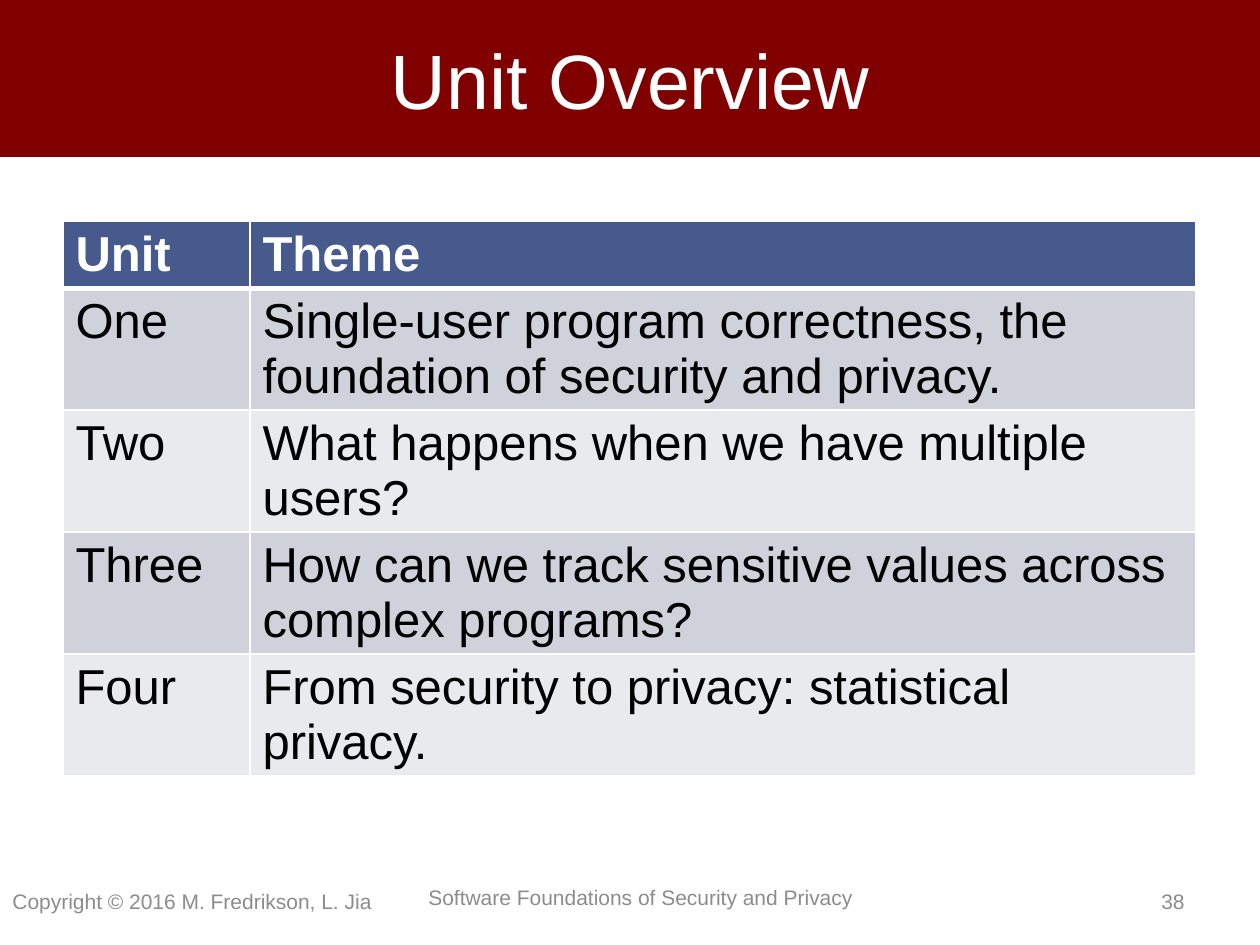
from dataclasses import dataclass

from lxml import etree
from pptx import Presentation
from pptx.dml.color import RGBColor
from pptx.enum.text import MSO_ANCHOR, PP_ALIGN
from pptx.oxml.ns import qn
from pptx.util import Emu, Pt

LEFT, CENTER, RIGHT = PP_ALIGN.LEFT, PP_ALIGN.CENTER, PP_ALIGN.RIGHT
MIDDLE = MSO_ANCHOR.MIDDLE

WHITE = RGBColor(0xFF, 0xFF, 0xFF)
BLACK = RGBColor(0x00, 0x00, 0x00)
MAROON = RGBColor(0x80, 0x00, 0x00)
BLUE = RGBColor(0x47, 0x5A, 0x8D)
DARK_BAND = RGBColor(0xCF, 0xD2, 0xDB)
LIGHT_BAND = RGBColor(0xE9, 0xEA, 0xEE)
GRAY = RGBColor(0x8C, 0x8C, 0x8C)

FONT = "Arial"
PX_PER_INCH = 126


@dataclass(frozen=True)
class Footer:
    text: str
    left: int
    top: int
    width: int
    align: PP_ALIGN = LEFT


FOOTER_HEIGHT = 50
FOOTERS = [
    Footer("Software Foundations of Security and Privacy", 416, 872, 454),
    Footer("38", 903, 876, 294, RIGHT),
    Footer("Copyright © 2016 M. Fredrikson, L. Jia", 0, 876, 399),
]

UNITS = [
    ("Unit", "Theme"),
    ("One", "Single-user program correctness, the foundation of security and privacy."),
    ("Two", "What happens when we have multiple users?"),
    ("Three", "How can we track sensitive values across complex programs?"),
    ("Four", "From security to privacy: statistical privacy."),
]
COLUMN_WIDTHS = (187, 946)
HEADER_HEIGHT, ROW_HEIGHT = 66, 122


def px(length: int) -> Emu:
    return Emu(round(length * 914400 / PX_PER_INCH))


def write(frame, text: str, *, size: int, color: RGBColor,
          align: PP_ALIGN = LEFT, bold: bool = False) -> None:
    frame.word_wrap = True
    para = frame.paragraphs[0]
    para.alignment = align
    span = para.add_run()
    span.text = text
    span.font.name = FONT
    span.font.size = Pt(size)
    span.font.bold = bold
    span.font.color.rgb = color


def set_borders(cell, *, top: int, bottom: int) -> None:
    """Give a cell white borders; the widths are in points."""
    properties = cell._tc.get_or_add_tcPr()
    widths = {"a:lnL": 1, "a:lnR": 1, "a:lnT": top, "a:lnB": bottom}
    for position, (tag, width) in enumerate(widths.items()):
        line = etree.Element(qn(tag), w=str(Pt(width)))
        fill = etree.SubElement(line, qn("a:solidFill"))
        etree.SubElement(fill, qn("a:srgbClr"), val=str(WHITE))
        properties.insert(position, line)


def draw_title(page, text: str) -> None:
    title = page.shapes.title
    title.left, title.top, title.width, title.height = px(0), px(0), px(1261), px(157)
    title.fill.solid()
    title.fill.fore_color.rgb = MAROON
    title.text_frame.vertical_anchor = MIDDLE
    write(title.text_frame, text, size=44, color=WHITE, align=CENTER)


def draw_units(page) -> None:
    height = HEADER_HEIGHT + ROW_HEIGHT * (len(UNITS) - 1)
    table = page.shapes.add_table(
        len(UNITS), len(COLUMN_WIDTHS),
        px(63), px(221), px(sum(COLUMN_WIDTHS)), px(height)).table
    for column, width in zip(table.columns, COLUMN_WIDTHS):
        column.width = px(width)
    for index, texts in enumerate(UNITS):
        header = index == 0
        table.rows[index].height = px(HEADER_HEIGHT if header else ROW_HEIGHT)
        band = BLUE if header else DARK_BAND if index % 2 else LIGHT_BAND
        for cell, text in zip(table.rows[index].cells, texts):
            cell.fill.solid()
            cell.fill.fore_color.rgb = band
            set_borders(cell, top=3 if index == 1 else 1, bottom=3 if header else 1)
            write(cell.text_frame, text, size=28,
                  color=WHITE if header else BLACK, bold=header)


def draw_footer(page, footer: Footer) -> None:
    box = page.shapes.add_textbox(
        px(footer.left), px(footer.top), px(footer.width), px(FOOTER_HEIGHT))
    box.text_frame.vertical_anchor = MIDDLE
    write(box.text_frame, footer.text, size=12, color=GRAY, align=footer.align)


def main() -> None:
    deck = Presentation()
    deck.slide_width, deck.slide_height = px(1260), px(945)
    page = deck.slides.add_slide(deck.slide_layouts[5])  # title only

    # Title band
    draw_title(page, "Unit Overview")

    # Table of units and themes
    draw_units(page)

    # Footer line
    for footer in FOOTERS:
        draw_footer(page, footer)

    deck.save("out.pptx")


if __name__ == "__main__":
    main()
